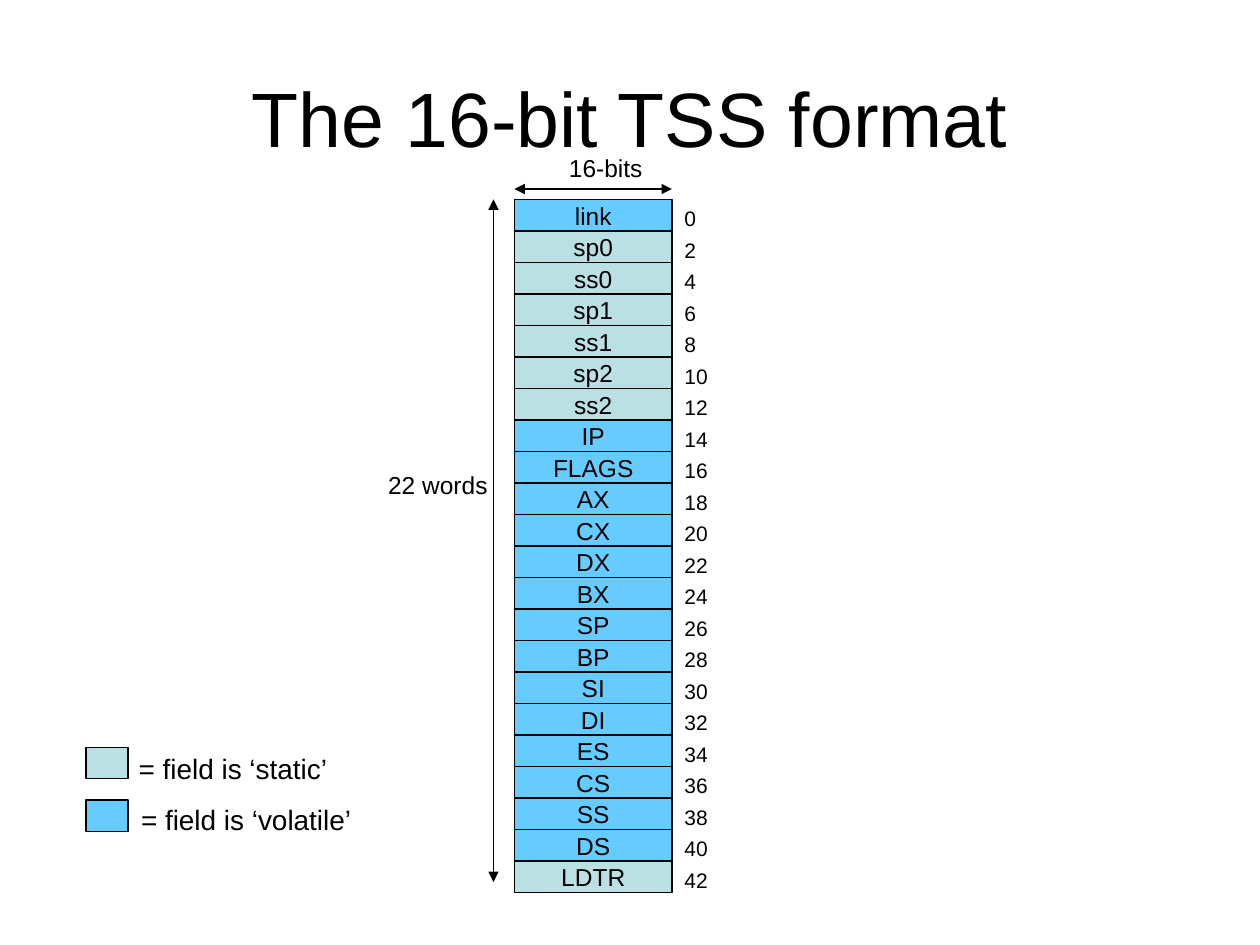
from dataclasses import dataclass

from lxml import etree
from pptx import Presentation
from pptx.dml.color import RGBColor
from pptx.enum import shapes, text
from pptx.oxml import ns
from pptx.util import Pt


@dataclass(frozen=True)
class Theme:
    font: str = "Arial"
    ink: RGBColor = RGBColor(0x00, 0x00, 0x00)
    static: RGBColor = RGBColor(0xBB, 0xE0, 0xE3)
    volatile: RGBColor = RGBColor(0x66, 0xCC, 0xFF)
    title: int = 44
    legend: int = 16
    field: int = 14
    offset: int = 12
    line: float = 0.75


@dataclass(frozen=True)
class Box:
    x: float
    y: float
    w: float
    h: float

    def lengths(self) -> tuple:
        return Pt(self.x), Pt(self.y), Pt(self.w), Pt(self.h)


@dataclass(frozen=True)
class Label:
    text: str
    box: Box
    size: int


@dataclass(frozen=True)
class Key:
    color: RGBColor
    y: float
    label: Label


THEME = Theme()
FIELDS = ("link sp0 ss0 sp1 ss1 sp2 ss2 IP FLAGS AX CX DX BX SP BP SI DI "
          "ES CS SS DS LDTR").split()
STATIC = {"sp0", "ss0", "sp1", "ss1", "sp2", "ss2", "LDTR"}
WORD_BYTES = 2
LEFT, TOP, WIDTH, ROW = 294, 114, 90, 18

LABELS = [
    Label("22 words", Box(214.7, 265, 71.5, 24.5), THEME.field),
    Label("16-bits", Box(318, 84, 56.5, 24.5), THEME.field),
]
KEYS = [
    Key(THEME.static, 427,
        Label("= field is ‘static’", Box(72.2, 426, 122, 26.5), THEME.legend)),
    Key(THEME.volatile, 457.2,
        Label("= field is ‘volatile’", Box(73.5, 455, 134.5, 26.5), THEME.legend)),
]


def set_text(sp, content: str, size: int, centered: bool = False) -> None:
    tf = sp.text_frame
    tf.text = content
    tf.word_wrap = False
    p = tf.paragraphs[0]
    if centered:
        tf.vertical_anchor = text.MSO_ANCHOR.MIDDLE
        p.alignment = text.PP_ALIGN.CENTER
    for r in p.runs:
        r.font.name = THEME.font
        r.font.size = Pt(size)
        r.font.color.rgb = THEME.ink


def add_cell(s, box: Box, color: RGBColor, content: str = "") -> None:
    sp = s.shapes.add_shape(shapes.MSO_SHAPE.RECTANGLE, *box.lengths())
    sp.shadow.inherit = False
    sp.fill.solid()
    sp.fill.fore_color.rgb = color
    sp.line.color.rgb = THEME.ink
    sp.line.width = Pt(THEME.line)
    if content:
        set_text(sp, content, THEME.field, centered=True)


def add_label(s, label: Label) -> None:
    sp = s.shapes.add_textbox(*label.box.lengths())
    set_text(sp, label.text, label.size)
    sp.text_frame.auto_size = text.MSO_AUTO_SIZE.SHAPE_TO_FIT_TEXT


def add_span(s, x1: float, y1: float, x2: float, y2: float) -> None:
    """Draw a dimension line with an arrowhead at each end."""
    cx = s.shapes.add_connector(shapes.MSO_CONNECTOR.STRAIGHT,
                                Pt(x1), Pt(y1), Pt(x2), Pt(y2))
    cx.line.color.rgb = THEME.ink
    cx.line.width = Pt(THEME.line)
    ln = cx.line._get_or_add_ln()
    for end in ("a:headEnd", "a:tailEnd"):
        etree.SubElement(ln, ns.qn(end), type="triangle")
    etree.SubElement(cx._element.spPr, ns.qn("a:effectLst"))


def main() -> None:
    prs = Presentation()
    prs.slide_width, prs.slide_height = Pt(720), Pt(540)
    s = prs.slides.add_slide(prs.slide_layouts[6])

    # Title
    title = s.shapes.add_textbox(*Box(36, 21.6, 648, 90).lengths())
    set_text(title, "The 16-bit TSS format", THEME.title, centered=True)
    title.text_frame.word_wrap = True

    # Segment fields with their byte offsets
    for i, field in enumerate(FIELDS):
        y = TOP + i * ROW
        color = THEME.static if field in STATIC else THEME.volatile
        add_cell(s, Box(LEFT, y, WIDTH, ROW), color, field)
        offset = str(i * WORD_BYTES)
        add_label(s, Label(offset, Box(LEFT + WIDTH, y, 14.4 + 6.65 * len(offset), 21.6),
                           THEME.offset))

    # Dimensions
    add_span(s, 282, TOP, 282, 504)
    add_span(s, LEFT, 108, LEFT + WIDTH, 108)
    for label in LABELS:
        add_label(s, label)

    # Legend
    for key in KEYS:
        add_cell(s, Box(49.2, key.y, 24, ROW), key.color)
        add_label(s, key.label)

    prs.save("out.pptx")


if __name__ == "__main__":
    main()
